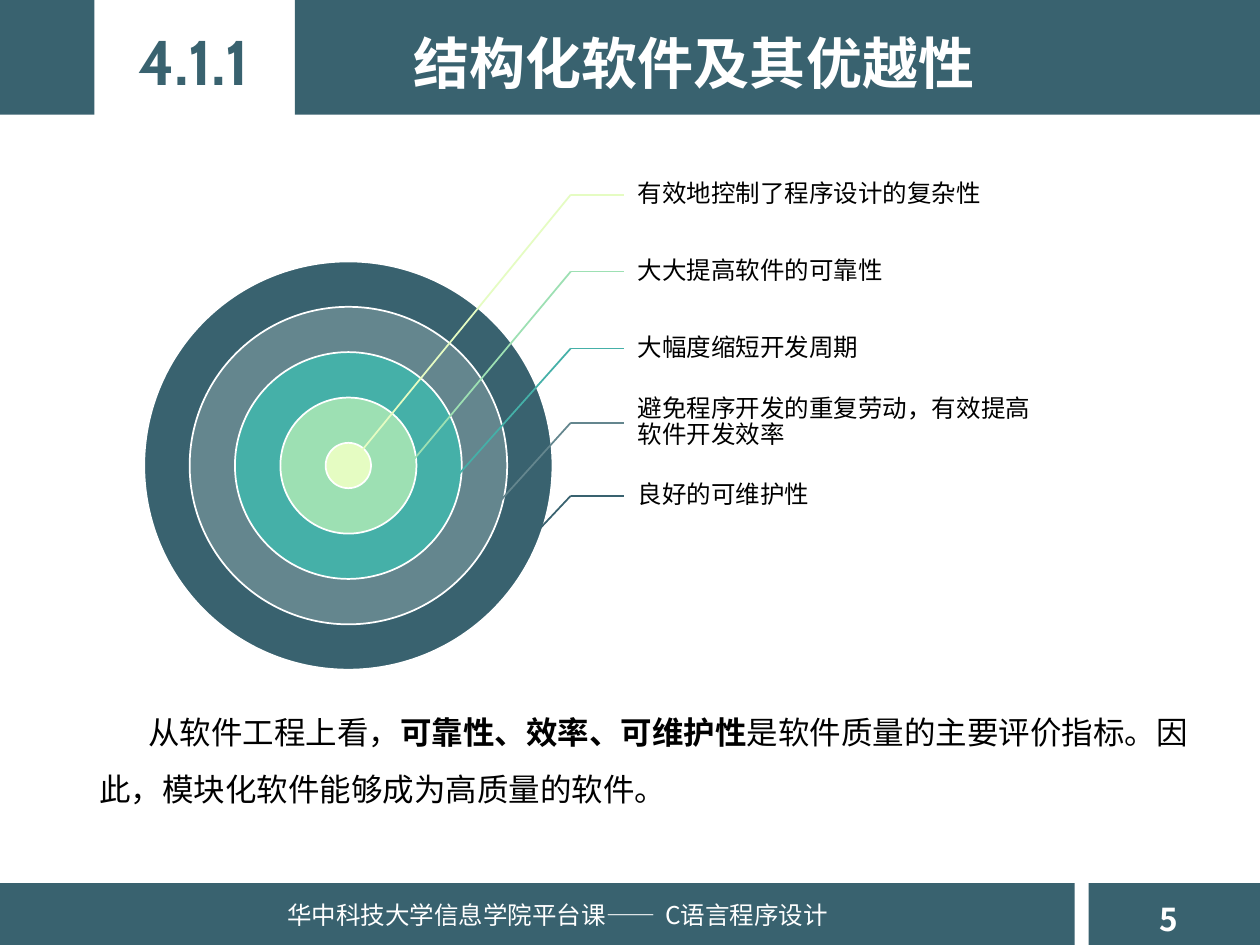
from dataclasses import dataclass

from lxml.etree import SubElement
from pptx import Presentation
from pptx.dml.color import RGBColor
from pptx.enum.shapes import MSO_CONNECTOR as Connector, MSO_SHAPE as Shape
from pptx.enum.text import MSO_ANCHOR as Anchor, MSO_AUTO_SIZE as AutoSize, PP_ALIGN as Align
from pptx.oxml.ns import qn
from pptx.util import Inches, Pt


@dataclass(frozen=True)
class Theme:
    primary: str = "39626F"
    white: str = "FFFFFF"
    black: str = "000000"
    rings: tuple = ("E5FCC2", "9DE0B3", "45B0A8", "64868E", "39626F")
    body_font: str = "Noto Sans CJK SC"
    number_font: str = "Cabin"
    number_size: int = 36
    title_size: int = 32
    body_size: int = 18
    label_size: int = 14
    line_width: int = 1


class SlideBuilder:
    def __init__(self, slide, theme):
        self.slide = slide
        self.theme = theme

    def shape(self, kind, left, top, width, height, fill, outline=None):
        shape = self.slide.shapes.add_shape(
            kind, Inches(left), Inches(top), Inches(width), Inches(height))
        shape.shadow.inherit = False
        shape.fill.solid()
        shape.fill.fore_color.rgb = RGBColor.from_string(fill)
        if outline:
            shape.line.color.rgb = RGBColor.from_string(outline)
            shape.line.width = Pt(self.theme.line_width)
        else:
            shape.line.fill.background()
        return shape

    def bar(self, left, top, width, height):
        return self.shape(Shape.RECTANGLE, left, top, width, height, self.theme.primary)

    def ring(self, center_x, center_y, radius, fill):
        return self.shape(Shape.OVAL, center_x - radius, center_y - radius,
                          2 * radius, 2 * radius, fill, self.theme.white)

    def text(self, left, top, width, height, runs, size, color, font=None,
             align=Align.LEFT, wrap=True, spacing=None, indent=0):
        box = self.slide.shapes.add_textbox(
            Inches(left), Inches(top), Inches(width), Inches(height))
        frame = box.text_frame
        frame.word_wrap = wrap
        frame.auto_size = AutoSize.SHAPE_TO_FIT_TEXT
        paragraph = frame.paragraphs[0]
        paragraph.alignment = align
        if spacing:
            paragraph.line_spacing = spacing
        if indent:
            paragraph._p.get_or_add_pPr().set("indent", str(Inches(indent)))
        for content, bold in runs:
            run = paragraph.add_run()
            run.text = content
            run.font.size = Pt(size)
            run.font.bold = bold
            run.font.color.rgb = RGBColor.from_string(color)
            run.font.name = font or self.theme.body_font
            SubElement(run._r.get_or_add_rPr(), qn("a:ea"), typeface=run.font.name)
        return box

    def label(self, left, top, width, height, content):
        box = self.text(left, top, width, height, [(content, False)],
                        self.theme.label_size, self.theme.black, spacing=0.9)
        frame = box.text_frame
        frame.auto_size = AutoSize.NONE
        frame.vertical_anchor = Anchor.MIDDLE
        frame.margin_left = Inches(0.11)
        frame.margin_top = frame.margin_right = frame.margin_bottom = Inches(0.02)
        frame.paragraphs[0].space_after = Pt(5)
        return box

    def line(self, start, end, color, target=None):
        connector = self.slide.shapes.add_connector(
            Connector.STRAIGHT, *(Inches(value) for value in (*start, *end)))
        connector.line.color.rgb = RGBColor.from_string(color)
        connector.line.width = Pt(self.theme.line_width)
        SubElement(connector._element.spPr, qn("a:effectLst"))
        if target is not None:
            connector.end_connect(target, 1)
        return connector


def add_frame(builder, theme):
    header_height, footer_top, footer_height = 0.91, 7.01, 0.49
    builder.bar(0, 0, 0.75, header_height)
    builder.bar(2.34, 0, 7.66, header_height)
    builder.bar(0, footer_top, 8.53, footer_height)
    builder.bar(8.64, footer_top, 1.36, footer_height)
    builder.text(9.1, 7.09, 0.55, 0.4, [("5", True)],
                 theme.body_size, theme.white, wrap=False)
    builder.text(2.18, 7.09, 4.54, 0.34, [("华中科技大学信息学院平台课——\tC语言程序设计", False)],
                 theme.label_size, theme.white, wrap=False)
    builder.text(0.86, 0.13, 1.35, 0.71, [("4.1.1", True)], theme.number_size,
                 theme.primary, theme.number_font, Align.CENTER, wrap=False)
    builder.text(2.96, 0.18, 5.1, 0.64, [("结构化软件及其优越性", True)],
                 theme.title_size, theme.white, align=Align.CENTER)


def add_target(builder, theme):
    center_x, center_y, core_radius = 2.765, 3.695, 0.18
    for index, color in reversed(list(enumerate(theme.rings))):
        builder.ring(center_x, center_y, core_radius * (2 * index + 1), color)

    benefits = [
        ("有效地控制了程序设计的复杂性", 1.26, (2.77, 3.7)),
        ("大大提高软件的可靠性", 1.87, (3.04, 3.94)),
        ("大幅度缩短开发周期", 2.48, (3.28, 4.17)),
        ("避免程序开发的重复劳动，有效提高软件开发效率", 3.07, (3.56, 4.43)),
        ("良好的可维护性", 3.65, (3.82, 4.69)),
    ]
    label_left, label_height, elbow_x = 4.95, 0.57, 4.53
    for (content, top, ring_point), color in zip(benefits, theme.rings):
        label = builder.label(label_left, top, 3.3, label_height, content)
        elbow = (elbow_x, top + label_height / 2)
        builder.line(elbow, (label_left, elbow[1]), color, label)
        builder.line(elbow, ring_point, color)


def main():
    presentation = Presentation()
    presentation.slide_width = Inches(10)
    presentation.slide_height = Inches(7.5)
    theme = Theme()
    slide = presentation.slides.add_slide(presentation.slide_layouts[6])
    builder = SlideBuilder(slide, theme)
    add_frame(builder, theme)
    add_target(builder, theme)
    builder.text(0.69, 5.46, 8.9, 0.96, [
        ("从软件工程上看，", False),
        ("可靠性、效率、可维护性", True),
        ("是软件质量的主要评价指标。因此，模块化软件能够成为高质量的软件。", False),
    ], theme.body_size, theme.black, spacing=1.5, indent=0.39)
    presentation.save("out.pptx")


if __name__ == "__main__":
    main()
